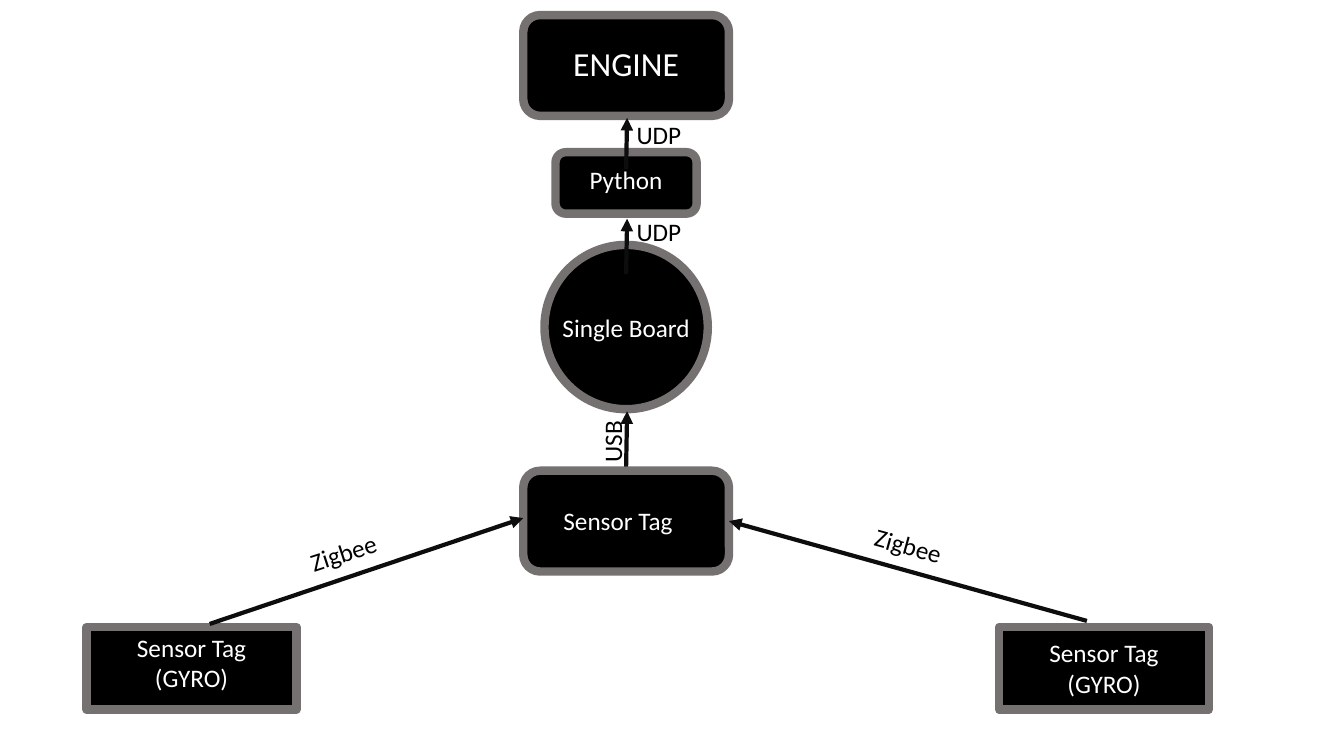
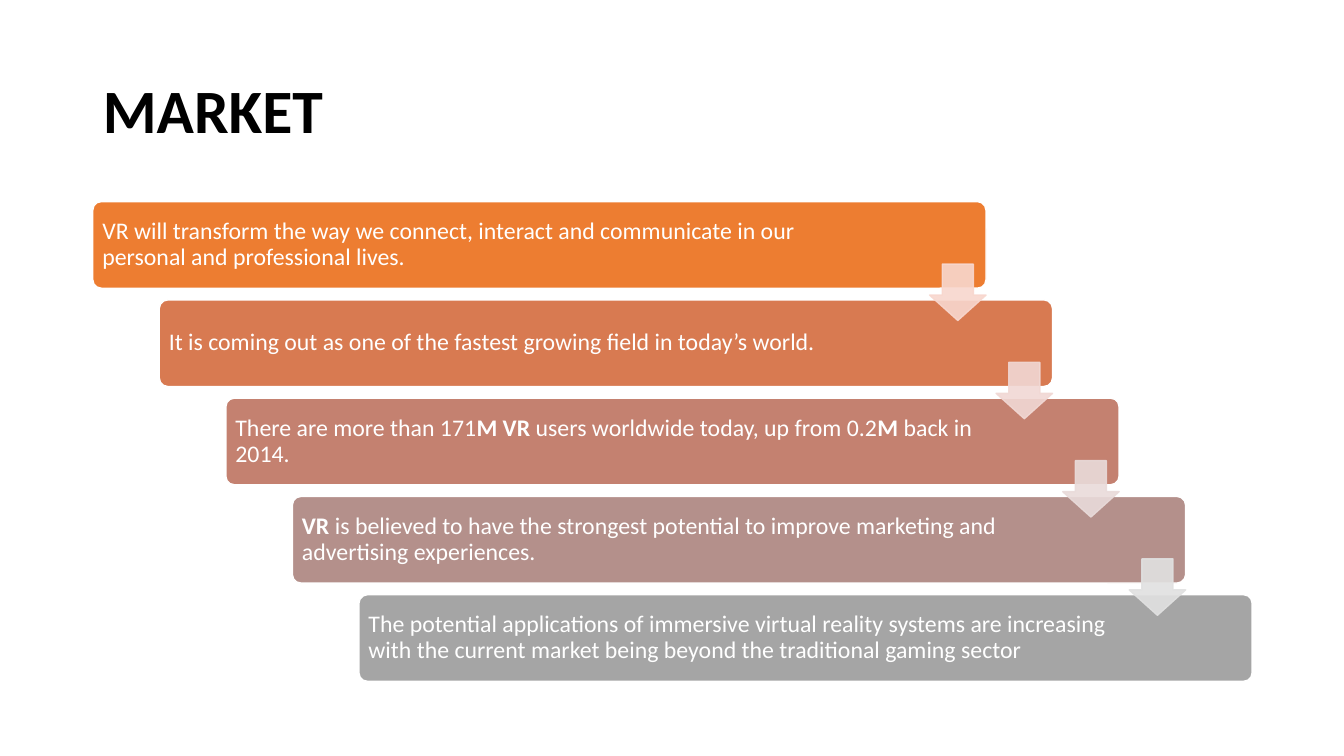
from lxml.etree import SubElement
from pptx import Presentation
from pptx.dml.color import RGBColor
from pptx.enum.shapes import MSO_CONNECTOR, MSO_SHAPE
from pptx.enum.text import MSO_ANCHOR, MSO_AUTO_SIZE, PP_ALIGN
from pptx.oxml.ns import qn
from pptx.util import Inches, Pt

# Shared style
FONT = "Calibri"
BLACK, WHITE, GREY, INK = "000000", "FFFFFF", "767171", "0D0D0D"
TITLE_ONLY, BLANK = 5, 6

# Slide 1: outline, box, text, size, (right, bottom) insets
NODES = [
    (MSO_SHAPE.ROUNDED_RECTANGLE, (5.19, 0.15, 2.04, 1), "ENGINE", 24, (0, 0.04)),
    (MSO_SHAPE.ROUNDED_RECTANGLE, (5.51, 1.51, 1.4, 0.61), "Python", 18, (0, 0.07)),
    (MSO_SHAPE.OVAL, (5.4, 2.43, 1.62, 1.63), "Single Board", 18, (0, 0)),
    (MSO_SHAPE.ROUNDED_RECTANGLE, (5.19, 4.67, 2.04, 1), "Sensor Tag", 18, (0.16, 0.02)),
    (MSO_SHAPE.RECTANGLE, (0.86, 6.22, 2.08, 0.82), "Sensor Tag\n(GYRO)", 18, (0, 0.11)),
    (MSO_SHAPE.RECTANGLE, (9.91, 6.22, 2.08, 0.82), "Sensor Tag\n(GYRO)", 18, (0, 0.01)),
]
LINKS = [
    ((2.08, 6.19), (5.19, 5.14)),
    ((10.78, 6.16), (7.23, 5.17)),
    ((6.21, 4.63), (6.22, 4.08)),
    ((6.21, 2.72), (6.22, 2.17)),
    ((6.21, 1.68), (6.22, 1.17)),
]
LINK_LABELS = [
    ("Zigbee", (2.8, 5.28, 1.21, 0.4), 341.9),
    ("Zigbee", (8.2, 5.21, 1.62, 0.4), 15.5),
    ("USB", (5.76, 4.18, 0.62, 0.4), 270),
    ("UDP", (6.21, 2.1, 0.65, 0.4), 0),
    ("UDP", (6.21, 1.13, 0.65, 0.4), 0),
]

# Slide 2: fill, right inset, (text, bold) spans
STEPS = [
    ("ED7D31", 1.06, [("VR will transform the way we connect, interact and communicate "
                       "in our personal and professional lives.", False)]),
    ("D87A51", 1.3, [("It is coming out as one of the fastest growing field "
                      "in today’s world.", False)]),
    ("C48170", 1.3, [("There are more than 171", False), ("M VR", True),
                     (" users worldwide today, up from 0.2", False),
                     ("M ", True), ("back in 2014.", False)]),
    ("B4908B", 1.3, [("VR ", True),
                     ("is believed to have the strongest potential to improve "
                      "marketing and advertising experiences.", False)]),
    ("A5A5A5", 1.3, [("The potential applications of\u00a0immersive virtual reality\u00a0"
                      "systems are increasing with the\u00a0current market\u00a0being "
                      "beyond the traditional gaming sector", False)]),
]
ARROW_FILLS = ["F8D7CE", "F1D8D4", "E9DBDA", "E1E1E1"]


def color(value):
    return RGBColor.from_string(value)


def style_span(span, size, ink, bold=False):
    span.font.name = FONT
    span.font.size = Pt(size)
    span.font.bold = bold
    span.font.color.rgb = color(ink)


def write(frame, text, size, ink, align=PP_ALIGN.CENTER, bold=False):
    frame.text = text
    for para in frame.paragraphs:
        para.alignment = align
        for span in para.runs:
            style_span(span, size, ink, bold)


def set_margins(frame, left, top, right, bottom):
    frame.margin_left, frame.margin_top = Inches(left), Inches(top)
    frame.margin_right, frame.margin_bottom = Inches(right), Inches(bottom)


def add_box(page, outline, box, fill, line, width):
    shape = page.shapes.add_shape(outline, *map(Inches, box))
    shape.shadow.inherit = False
    shape.fill.solid()
    shape.fill.fore_color.rgb = color(fill)
    shape.line.color.rgb = color(line)
    shape.line.width = Pt(width)
    return shape


def add_node(page, outline, box, text, size, insets):
    frame = add_box(page, outline, box, BLACK, GREY, 6).text_frame
    frame.word_wrap = False
    frame.vertical_anchor = MSO_ANCHOR.MIDDLE
    set_margins(frame, 0, 0, *insets)
    write(frame, text, size, WHITE)


def add_link(page, start, end):
    link = page.shapes.add_connector(MSO_CONNECTOR.STRAIGHT, *map(Inches, start + end))
    link.line.color.rgb = color(INK)
    link.line.width = Pt(3)
    SubElement(link.line._get_or_add_ln(), qn("a:tailEnd"), type="triangle")
    SubElement(link._element.spPr, qn("a:effectLst"))


def add_label(page, text, box, angle):
    label = page.shapes.add_textbox(*map(Inches, box))
    label.rotation = angle
    label.text_frame.word_wrap = False
    write(label.text_frame, text, 18, BLACK)


def add_title(page, text):
    title = page.shapes.title
    title.left, title.top, title.width, title.height = map(Inches, (0.92, 0.4, 11.5, 1.45))
    frame = title.text_frame
    frame.auto_size = MSO_AUTO_SIZE.NONE
    frame.vertical_anchor = MSO_ANCHOR.MIDDLE
    write(frame, text, 44, BLACK, PP_ALIGN.LEFT, True)
    frame.paragraphs[0].line_spacing = 0.9


def add_step(page, left, top, fill, right_inset, spans):
    step = add_box(page, MSO_SHAPE.ROUNDED_RECTANGLE, (left, top, 8.86, 0.86), fill, WHITE, 1)
    step.adjustments[0] = 0.1
    frame = step.text_frame
    frame.word_wrap = True
    frame.vertical_anchor = MSO_ANCHOR.MIDDLE
    set_margins(frame, 0.07, 0.07, right_inset, 0.07)
    para = frame.paragraphs[0]
    para.alignment = PP_ALIGN.LEFT
    para.line_spacing = 0.9
    for text, bold in spans:
        span = para.add_run()
        span.text = text
        style_span(span, 17, WHITE, bold)


def add_step_arrow(page, left, top, fill):
    arrow = add_box(page, MSO_SHAPE.DOWN_ARROW, (left, top, 0.56, 0.56), fill, fill, 1)
    arrow.adjustments[0], arrow.adjustments[1] = 0.55, 0.45
    # Fill and line are both 90% opaque
    for tint in arrow._element.spPr.iter(qn("a:srgbClr")):
        SubElement(tint, qn("a:alpha"), val="90000")


def build_system(deck):
    page = deck.slides.add_slide(deck.slide_layouts[BLANK])
    for node in NODES:
        add_node(page, *node)
    for link in LINKS:
        add_link(page, *link)
    for label in LINK_LABELS:
        add_label(page, *label)


def build_market(deck):
    page = deck.slides.add_slide(deck.slide_layouts[TITLE_ONLY])
    add_title(page, "MARKET")
    # Each step moves right and down by the same amount
    corners = [(0.92 + 0.66 * i, 2 + 3.9 * i / 4) for i in range(len(STEPS))]
    for (left, top), step in zip(corners, STEPS):
        add_step(page, left, top, *step)
    for (left, top), fill in zip(corners, ARROW_FILLS):
        add_step_arrow(page, left + 8.3, top + 0.62, fill)


def main():
    deck = Presentation()
    deck.slide_width, deck.slide_height = Inches(13.33), Inches(7.5)
    background = deck.slide_master.background.fill
    background.solid()
    background.fore_color.rgb = color(WHITE)
    build_system(deck)
    build_market(deck)
    deck.save("out.pptx")


main()
